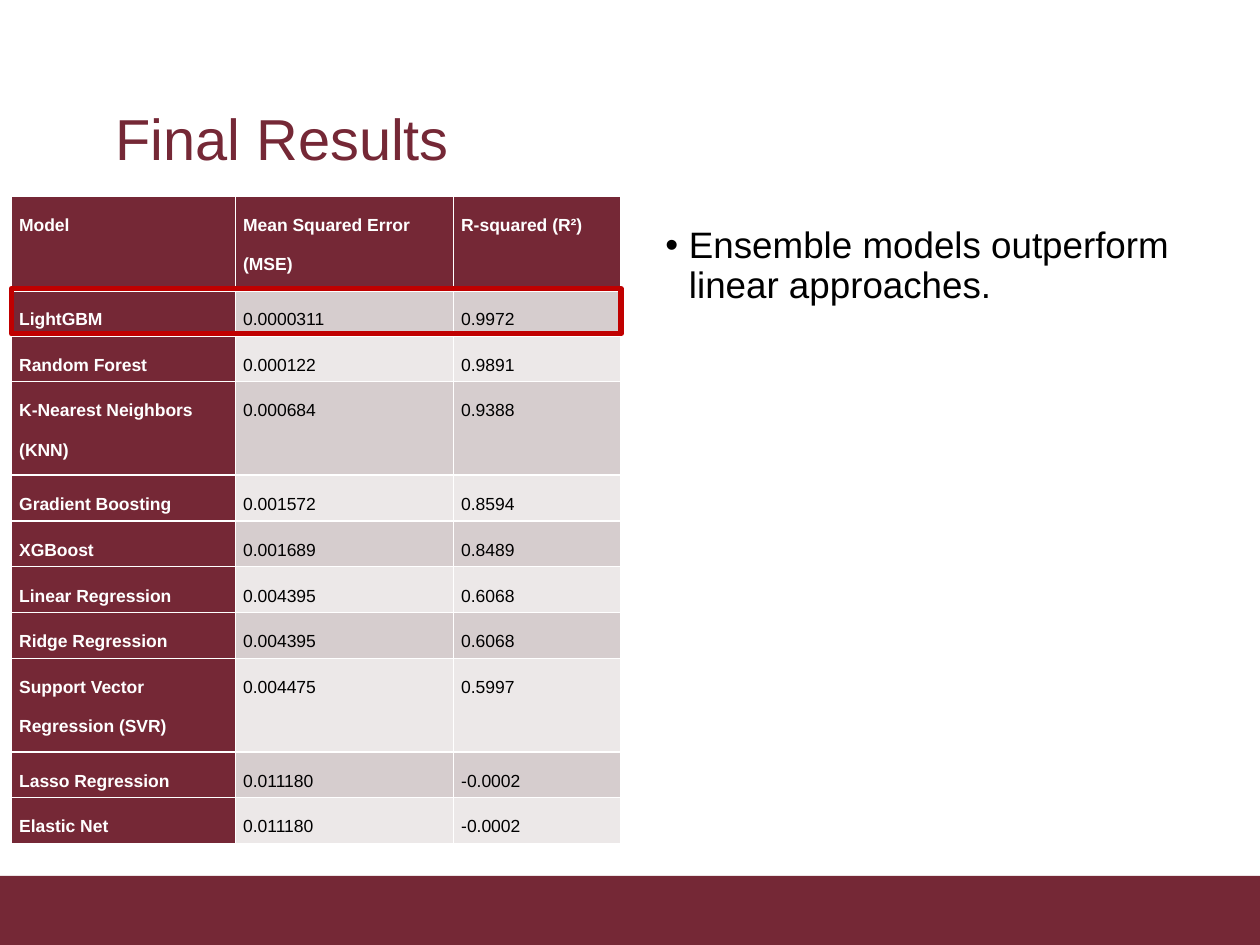
from lxml import etree
from pptx import Presentation
from pptx import util as u
from pptx.dml.color import RGBColor
from pptx.enum import shapes, text
from pptx.oxml import ns

COLORS = {
    "maroon": "752836",
    "dark_band": "D6CDCE",
    "light_band": "ECE8E8",
    "highlight": "C00000",
    "white": "FFFFFF",
    "black": "000000",
}

RESULTS = [
    ("Model", "Mean Squared Error (MSE)", "R-squared (R²)"),
    ("LightGBM", "0.0000311", "0.9972"),
    ("Random Forest", "0.000122", "0.9891"),
    ("K-Nearest Neighbors (KNN)", "0.000684", "0.9388"),
    ("Gradient Boosting", "0.001572", "0.8594"),
    ("XGBoost", "0.001689", "0.8489"),
    ("Linear Regression", "0.004395", "0.6068"),
    ("Ridge Regression", "0.004395", "0.6068"),
    ("Support Vector Regression (SVR)", "0.004475", "0.5997"),
    ("Lasso Regression", "0.011180", "-0.0002"),
    ("Elastic Net", "0.011180", "-0.0002"),
]
TALL_ROWS = {0, 3, 8}
TALL, SHORT = 53.4, 26.2
COLUMNS = [128, 124.6, 95.9]
LEFT, TOP = 6.5, 112.3


def rgb(name):
    return RGBColor.from_string(COLORS[name])


class SlideBuilder:
    font = "Arial"

    def __init__(self, deck):
        self.slide = deck.slides.add_slide(deck.slide_layouts[1])

    def style(self, paragraph, size, color, bold=False):
        for run in paragraph.runs:
            run.font.name = self.font
            run.font.size = u.Pt(size)
            run.font.bold = bold
            run.font.color.rgb = rgb(color)

    def place(self, holder, box, wording, size, color):
        holder.left, holder.top, holder.width, holder.height = map(u.Pt, box)
        frame = holder.text_frame
        frame.text = wording
        frame.word_wrap = True
        frame.auto_size = text.MSO_AUTO_SIZE.NONE
        paragraph = frame.paragraphs[0]
        paragraph.alignment = text.PP_ALIGN.LEFT
        paragraph.line_spacing = 0.9
        paragraph.space_before = u.Pt(0)
        self.style(paragraph, size, color)
        return frame

    def title(self, box, wording):
        frame = self.place(self.slide.shapes.title, box, wording, 33, "maroon")
        frame.vertical_anchor = text.MSO_ANCHOR.MIDDLE
        frame.margin_left = u.Pt(16.4)

    def bullet(self, box, wording):
        frame = self.place(self.slide.placeholders[1], box, wording, 21, "black")
        frame.vertical_anchor = text.MSO_ANCHOR.TOP
        properties = frame.paragraphs[0]._p.get_or_add_pPr()
        properties.set("marL", str(u.Pt(13.5)))
        properties.set("indent", str(u.Pt(-13.5)))
        etree.SubElement(properties, ns.qn("a:buFont"), typeface=self.font)
        etree.SubElement(properties, ns.qn("a:buChar"), char="•")

    def rectangle(self, box, fill=None, line=None, width=0):
        shape = self.slide.shapes.add_shape(shapes.MSO_SHAPE.RECTANGLE, *map(u.Pt, box))
        shape.shadow.inherit = False
        if fill:
            shape.fill.solid()
            shape.fill.fore_color.rgb = rgb(fill)
        else:
            shape.fill.background()
        if line:
            shape.line.color.rgb = rgb(line)
            shape.line.width = u.Pt(width)
        else:
            shape.line.fill.background()

    def borders(self, cell, top, bottom):
        properties = cell._tc.get_or_add_tcPr()
        for side, width in (("L", 1), ("R", 1), ("T", top), ("B", bottom)):
            line = etree.SubElement(properties, ns.qn(f"a:ln{side}"), w=str(u.Pt(width)))
            fill = etree.SubElement(line, ns.qn("a:solidFill"))
            etree.SubElement(fill, ns.qn("a:srgbClr"), val=COLORS["white"])

    def cell(self, cell, wording, row, column):
        heading = row == 0 or column == 0
        band = "dark_band" if row % 2 else "light_band"
        self.borders(cell, 3 if row == 1 else 1, 3 if row == 0 else 1)
        cell.fill.solid()
        cell.fill.fore_color.rgb = rgb("maroon" if heading else band)
        cell.margin_left = cell.margin_right = u.Pt(4.5)
        cell.margin_top = cell.margin_bottom = u.Pt(0)
        cell.text_frame.text = wording
        paragraph = cell.text_frame.paragraphs[0]
        paragraph.line_spacing = 2.0
        paragraph.space_after = u.Pt(8)
        self.style(paragraph, 10, "white" if heading else "black", heading)

    def table(self, left, top, rows, widths, heights):
        frame = self.slide.shapes.add_table(
            len(rows), len(widths),
            *map(u.Pt, (left, top, sum(widths), sum(heights))))
        for column, width in zip(frame.table.columns, widths):
            column.width = u.Pt(width)
        for r, (values, height) in enumerate(zip(rows, heights)):
            frame.table.rows[r].height = u.Pt(height)
            for c, value in enumerate(values):
                self.cell(frame.table.cell(r, c), value, r, c)


def main():
    deck = Presentation()
    deck.slide_width, deck.slide_height = u.Pt(720), u.Pt(540)
    heights = [TALL if r in TALL_ROWS else SHORT for r in range(len(RESULTS))]

    builder = SlideBuilder(deck)
    builder.rectangle((0, 500.5, 720, 39.5), fill="maroon")
    builder.title((49.5, 28.8, 621, 104.4), "Final Results")
    builder.table(LEFT, TOP, RESULTS, COLUMNS, heights)
    builder.rectangle((LEFT, 164.9, sum(COLUMNS), 25.9), line="highlight", width=3)
    builder.bullet((373, 126, 306, 342.7),
                   "Ensemble models outperform linear approaches.")
    deck.save("out.pptx")


if __name__ == "__main__":
    main()
